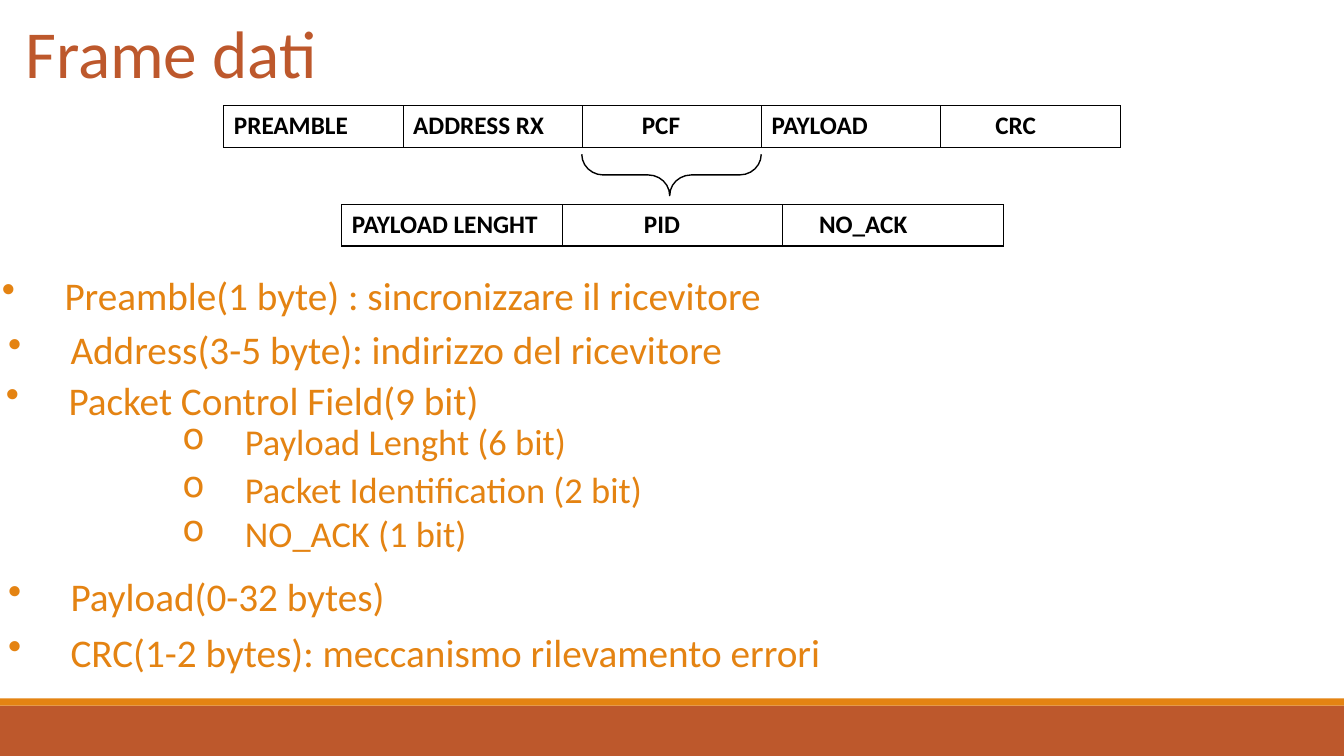
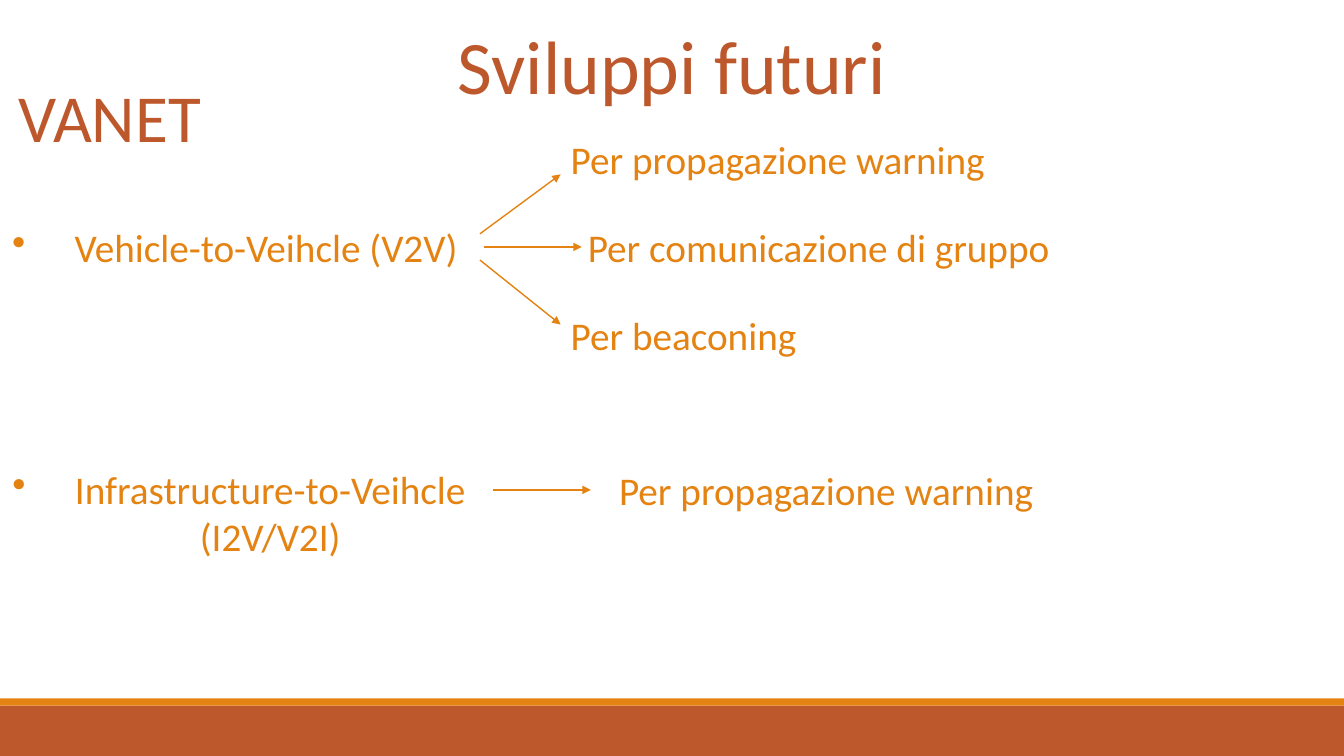
from dataclasses import dataclass

from lxml import etree
from pptx import Presentation
from pptx import util as u
from pptx.dml.color import RGBColor
from pptx.enum import shapes, text
from pptx.oxml import ns

Inches, Pt = u.Inches, u.Pt


@dataclass(frozen=True)
class Theme:
    font: str = "Calibri"
    rust: RGBColor = RGBColor.from_string("BD582C")
    orange: RGBColor = RGBColor.from_string("E48312")
    black: RGBColor = RGBColor.from_string("000000")
    main_title: int = 54
    title: int = 48
    body: int = 28
    detail: int = 26
    cell: int = 18
    line: float = 1
    hanging: float = 0.62
    width: float = 13.33
    height: float = 7.5


THEME = Theme()


def style_font(font, size, color, bold=False):
    font.name, font.size, font.bold = THEME.font, Pt(size), bold
    font.color.rgb = color


def add_bullet(para, symbol):
    """Give the paragraph a bullet and a hanging indent."""
    properties = para._p.get_or_add_pPr()
    hanging = Inches(THEME.hanging)
    properties.set("marL", str(hanging))
    properties.set("indent", str(-hanging))
    etree.SubElement(properties, ns.qn("a:buChar")).set("char", symbol)


def add_text(page, left, top, width, words, size=THEME.body, color=THEME.orange,
             bullet=None, align=text.PP_ALIGN.LEFT, lines=1):
    """Place one paragraph whose text starts exactly at the left edge."""
    height = lines * size * 1.22 / 72 + 0.1
    box = page.shapes.add_textbox(Inches(left), Inches(top), Inches(width), Inches(height))
    frame = box.text_frame
    frame.word_wrap = True
    frame.margin_left = frame.margin_right = 0
    frame.text = words
    para = frame.paragraphs[0]
    para.alignment = align
    if bullet:
        add_bullet(para, bullet)
    style_font(para.runs[0].font, size, color)


def add_title(page, left, top, words):
    add_text(page, left, top, 4, words, THEME.title, THEME.rust)


def add_footer(page):
    for top, height, color in ((7, 0.5, THEME.rust), (6.93, 0.07, THEME.orange)):
        band = page.shapes.add_shape(shapes.MSO_SHAPE.RECTANGLE, 0, Inches(top),
                                     Inches(THEME.width), Inches(height))
        band.shadow.inherit = False
        band.fill.solid()
        band.fill.fore_color.rgb = color
        band.line.fill.background()


def add_borders(cell):
    properties = cell._tc.get_or_add_tcPr()
    for index, side in enumerate(("lnL", "lnR", "lnT", "lnB")):
        border = etree.Element(ns.qn(f"a:{side}"), w=str(Pt(THEME.line)))
        fill = etree.SubElement(border, ns.qn("a:solidFill"))
        etree.SubElement(fill, ns.qn("a:srgbClr")).set("val", str(THEME.black))
        properties.insert(index, border)


def add_field_row(page, left, top, width, fields):
    """Draw packet fields, each a label with its left margin, as a one-row table."""
    table = page.shapes.add_table(1, len(fields), Inches(left), Inches(top),
                                  Inches(width), Inches(0.41)).table
    table.first_row = table.horz_banding = False
    for column, (label, margin) in enumerate(fields):
        table.columns[column].width = Inches(width / len(fields))
        cell = table.cell(0, column)
        cell.text = label
        cell.margin_left = Inches(margin)
        cell.fill.background()
        add_borders(cell)
        style_font(cell.text_frame.paragraphs[0].runs[0].font,
                   THEME.cell, THEME.black, bold=True)


def add_brace(page, left, top, width, height):
    """Draw a brace opening upwards inside the given box."""
    center_x, center_y = left + width / 2, top + height / 2
    brace = page.shapes.add_shape(
        shapes.MSO_SHAPE.LEFT_BRACE, Inches(center_x - height / 2),
        Inches(center_y - width / 2), Inches(height), Inches(width))
    brace.rotation = 270
    brace.adjustments[0], brace.adjustments[1] = 0.52, 0.49
    brace.shadow.inherit = False
    brace.fill.background()
    brace.line.color.rgb = THEME.black
    brace.line.width = Pt(THEME.line)


def add_arrow(page, start, end):
    arrow = page.shapes.add_connector(
        shapes.MSO_CONNECTOR.STRAIGHT, *(Inches(value) for value in (*start, *end)))
    arrow.line.color.rgb = THEME.orange
    arrow.line.width = Pt(THEME.line)
    etree.SubElement(arrow.line._get_or_add_ln(), ns.qn("a:tailEnd")).set("type", "triangle")
    etree.SubElement(arrow._element.spPr, ns.qn("a:effectLst"))


def add_page(deck):
    page = deck.slides.add_slide(deck.slide_layouts[6])
    add_footer(page)
    return page


def build_data_frame(deck):
    page = add_page(deck)
    add_title(page, 0.25, 0.06, "Frame dati")
    add_field_row(page, 2.22, 1.05, 8.89, (
        ("PREAMBLE", 0.1), ("ADDRESS RX", 0.1), ("PCF", 0.59),
        ("PAYLOAD", 0.1), ("CRC", 0.54)))
    add_brace(page, 5.77, 1.53, 1.78, 0.41)
    add_field_row(page, 3.39, 2.03, 6.56, (
        ("PAYLOAD LENGHT", 0.1), ("PID", 0.81), ("NO_ACK", 0.36)))

    for left, top, words in (
            (0.02, 2.64, "Preamble(1 byte) : sincronizzare il ricevitore"),
            (0.08, 3.18, "Address(3-5 byte): indirizzo del ricevitore"),
            (0.06, 3.68, "Packet Control Field(9 bit)"),
            (0.08, 5.63, "Payload(0-32 bytes)"),
            (0.08, 6.18, "CRC(1-2 bytes): meccanismo rilevamento errori")):
        add_text(page, left, top, 9, words, bullet="•")
    for top, words in ((4.11, "Payload Lenght (6 bit)"),
                       (4.58, "Packet Identification (2 bit)"),
                       (5.02, "NO_ACK (1 bit)")):
        add_text(page, 1.81, top, 6, words, THEME.detail, bullet="o")


def build_future_work(deck):
    page = add_page(deck)
    add_text(page, 0, 0.14, THEME.width, "Sviluppi futuri", THEME.main_title,
             THEME.rust, align=text.PP_ALIGN.CENTER)
    add_title(page, 0.18, 0.7, "VANET")
    add_text(page, 0.12, 2.17, 4.6, "Vehicle-to-Veihcle (V2V)", bullet="•")
    add_text(page, 0, 4.57, 4.74, "Infrastructure-to-Veihcle (I2V/V2I)", bullet="•",
             align=text.PP_ALIGN.CENTER, lines=2)

    for start, end, left, top, words in (
            ((4.76, 2.32), (5.56, 1.73), 5.66, 1.29, "Per propagazione warning"),
            ((4.8, 2.45), (5.77, 2.45), 5.83, 2.17, "Per comunicazione di gruppo"),
            ((4.76, 2.58), (5.56, 3.22), 5.66, 3.04, "Per beaconing"),
            ((4.89, 4.86), (5.86, 4.86), 6.14, 4.58, "Per propagazione warning")):
        add_arrow(page, start, end)
        add_text(page, left, top, 5, words)


def main():
    deck = Presentation()
    deck.slide_width, deck.slide_height = Inches(THEME.width), Inches(THEME.height)
    build_data_frame(deck)
    build_future_work(deck)
    deck.save("out.pptx")


if __name__ == "__main__":
    main()
